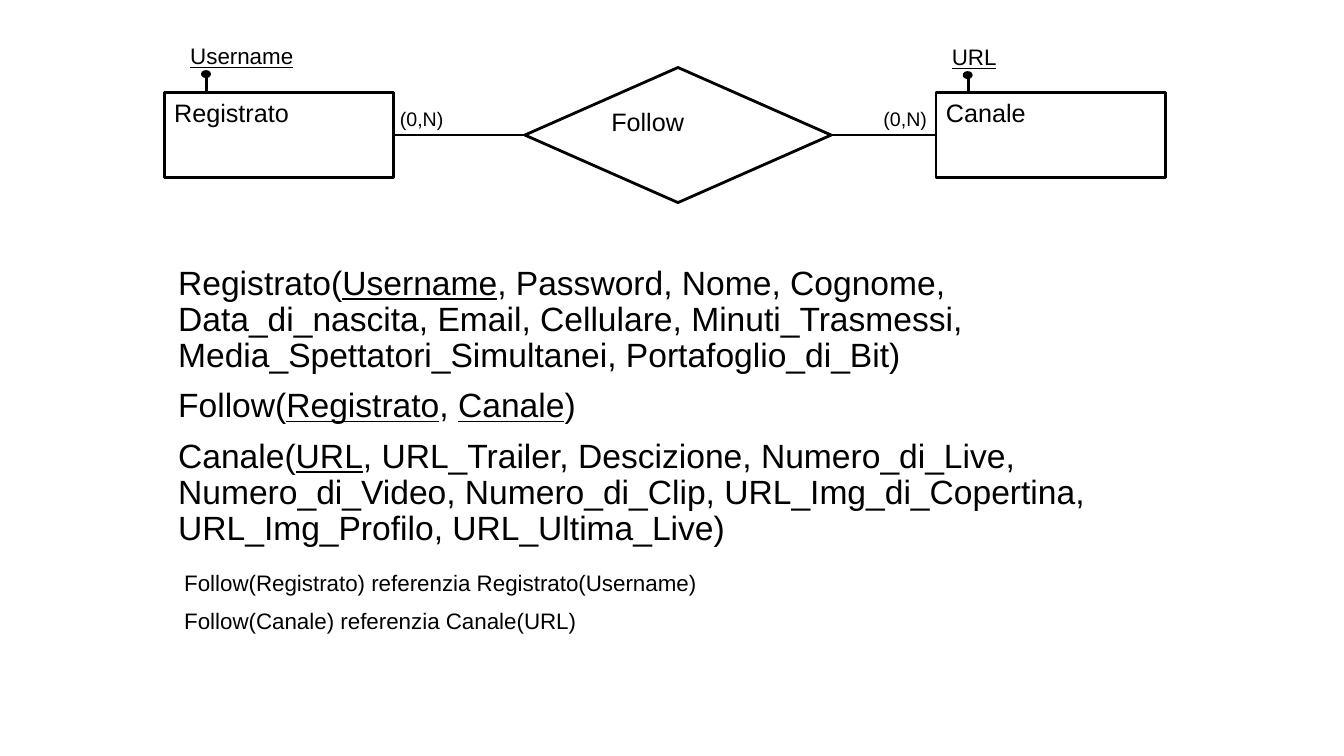
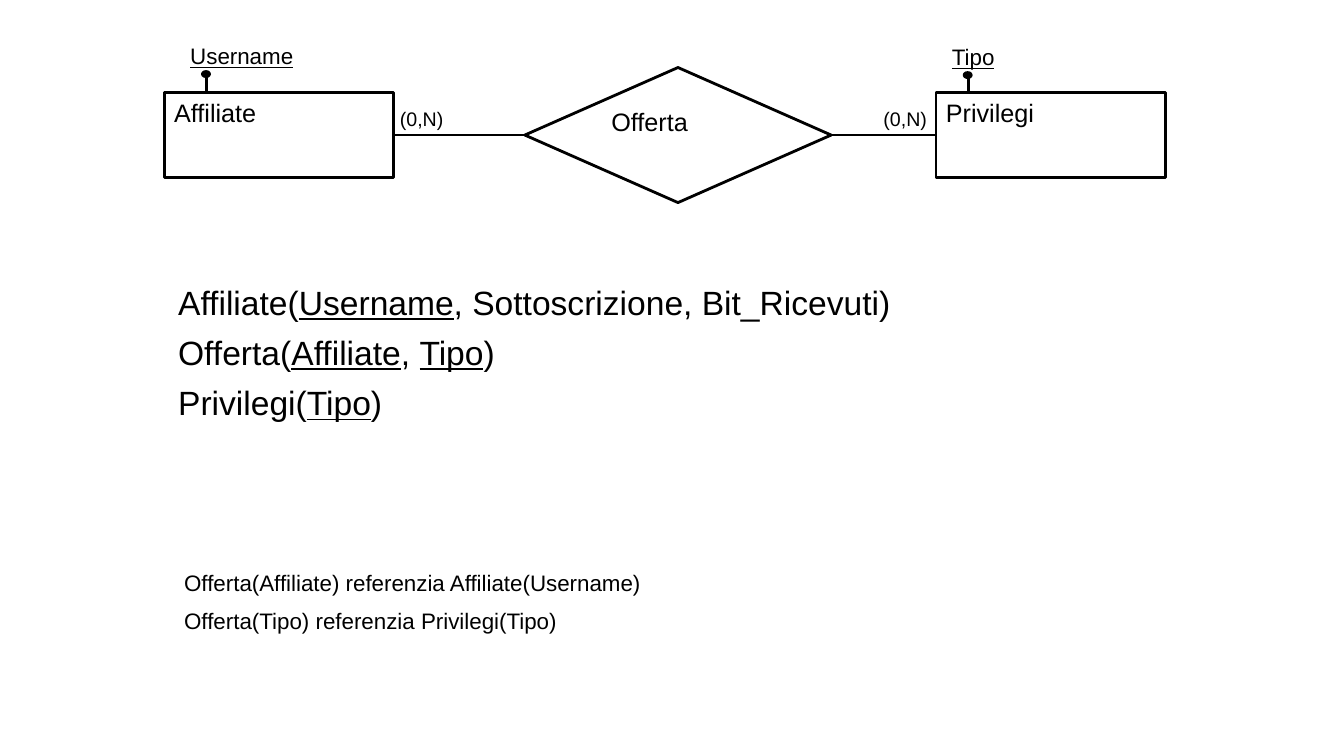
from lxml import etree
from pptx import Presentation
from pptx.dml.color import RGBColor
from pptx.enum.shapes import MSO_CONNECTOR, MSO_SHAPE
from pptx.enum.text import MSO_ANCHOR, MSO_AUTO_SIZE, PP_ALIGN
from pptx.oxml.ns import qn
from pptx.util import Inches, Pt

BOX_TOP, BOX_WIDTH, BOX_HEIGHT = 0.92, 2.28, 0.84
LEFT_BOX, RIGHT_BOX = 1.63, 9.29
RIGHT_SIDE, LEFT_SIDE = 3, 1


def color(hex_value):
    return RGBColor.from_string(hex_value)


class Diagram:
    """Shared style and the slide being drawn."""
    font = "Arial"
    ink = "000000"
    line_width = 2

    def __init__(self, deck):
        self.slide = deck.slides.add_slide(deck.slide_layouts[6])
        self.shapes = self.slide.shapes

    def style_run(self, run, size, underline=False):
        run.font.name = self.font
        run.font.size = Pt(size)
        run.font.color.rgb = color(self.ink)
        if underline:
            run.font.underline = True

    def style_line(self, line):
        line.color.rgb = color(self.ink)
        line.width = Pt(self.line_width)

    def node(self, preset, name, left, top, width, height):
        shape = self.shapes.add_shape(
            preset, Inches(left), Inches(top), Inches(width), Inches(height))
        shape.shadow.inherit = False
        shape.fill.background()
        self.style_line(shape.line)
        frame = shape.text_frame
        frame.text = name
        frame.vertical_anchor = MSO_ANCHOR.TOP
        paragraph = frame.paragraphs[0]
        paragraph.alignment = PP_ALIGN.LEFT
        self.style_run(paragraph.runs[0], 18)
        return shape

    def entity(self, name, left):
        return self.node(MSO_SHAPE.RECTANGLE, name, left, BOX_TOP, BOX_WIDTH, BOX_HEIGHT)

    def relationship(self, name):
        return self.node(MSO_SHAPE.DIAMOND, name, 5.21, 0.67, 3.04, 1.34)

    def connector(self, shapes, start=(0, 0), end=(0, 0)):
        line = shapes.add_connector(
            MSO_CONNECTOR.STRAIGHT, *(Inches(value) for value in (*start, *end)))
        self.style_line(line.line)
        etree.SubElement(line._element.spPr, qn("a:effectLst"))
        return line

    def link(self, source, source_side, target, target_side):
        line = self.connector(self.shapes)
        line.begin_connect(source, source_side)
        line.end_connect(target, target_side)

    def label(self, shapes, text, left, top, width, height, size, underline=False):
        box = shapes.add_textbox(
            Inches(left), Inches(top), Inches(width), Inches(height))
        frame = box.text_frame
        frame.word_wrap = True
        frame.auto_size = MSO_AUTO_SIZE.SHAPE_TO_FIT_TEXT
        frame.text = text
        self.style_run(frame.paragraphs[0].runs[0], size, underline)

    def key_attribute(self, name, stem_x, top):
        """Draw an identifier as an underlined name over a dotted stem."""
        shapes = self.shapes.add_group_shape().shapes
        self.connector(shapes, (stem_x, BOX_TOP), (stem_x, top + 0.39))
        dot = shapes.add_shape(
            MSO_SHAPE.OVAL, Inches(stem_x - 0.04), Inches(top + 0.34),
            Inches(0.07), Inches(0.05))
        dot.shadow.inherit = False
        dot.fill.solid()
        dot.fill.fore_color.rgb = color(self.ink)
        self.style_line(dot.line)
        self.label(shapes, name, stem_x - 0.26, top, 1.67, 0.37, 16, underline=True)

    def text_block(self, lines, left, top, height, size):
        """Write lines, each a list of (text, underlined) pieces."""
        frame = self.shapes.add_textbox(
            Inches(left), Inches(top), Inches(10), Inches(height)).text_frame
        frame.word_wrap = True
        for index, pieces in enumerate(lines):
            paragraph = frame.add_paragraph() if index else frame.paragraphs[0]
            paragraph.line_spacing = 0.9
            paragraph.space_before = Pt(10 if index else 0)
            for text, underlined in pieces:
                run = paragraph.add_run()
                run.text = text
                self.style_run(run, size, underlined)


def schema_pieces(name, keys, attributes=""):
    """Split a relation schema into plain pieces and underlined keys."""
    pieces = [(f"{name}(", False)]
    for index, key in enumerate(keys):
        if index:
            pieces.append((", ", False))
        pieces.append((key, True))
    ending = f", {attributes})" if attributes else ")"
    return pieces + [(ending, False)]


def draw_relationship(deck, schemas, schema_top):
    """Draw entity, relationship and entity with their schemas and references."""
    (first, first_keys, *_), (relation, foreign_keys, *_), (second, second_keys, *_) = schemas
    diagram = Diagram(deck)
    left_entity = diagram.entity(first, LEFT_BOX)
    diamond = diagram.relationship(relation)
    right_entity = diagram.entity(second, RIGHT_BOX)
    diagram.link(left_entity, RIGHT_SIDE, diamond, LEFT_SIDE)
    diagram.link(right_entity, LEFT_SIDE, diamond, RIGHT_SIDE)

    diagram.text_block([schema_pieces(*schema) for schema in schemas],
                       1.67, schema_top, 2.96, 24)
    targets = ((first, first_keys[0]), (second, second_keys[0]))
    references = [
        [(f"{relation}({foreign}) referenzia {entity}({key})", False)]
        for foreign, (entity, key) in zip(foreign_keys, targets)]
    diagram.text_block(references, 1.73, 5.63, 1.18, 16)

    for cardinality_left in (3.87, 8.67):
        diagram.label(diagram.shapes, "(0,N)", cardinality_left, 1.01, 0.81, 0.33, 14)
    diagram.key_attribute(first_keys[0], 2.05, 0.37)
    diagram.key_attribute(second_keys[0], 9.61, 0.38)


FOLLOW = [
    ("Registrato", ["Username"],
     "Password, Nome, Cognome, Data_di_nascita, Email, Cellulare, Minuti_Trasmessi, "
     "Media_Spettatori_Simultanei, Portafoglio_di_Bit"),
    ("Follow", ["Registrato", "Canale"]),
    ("Canale", ["URL"],
     "URL_Trailer, Descizione, Numero_di_Live, Numero_di_Video, Numero_di_Clip, "
     "URL_Img_di_Copertina, URL_Img_Profilo, URL_Ultima_Live"),
]
OFFERTA = [
    ("Affiliate", ["Username"], "Sottoscrizione, Bit_Ricevuti"),
    ("Offerta", ["Affiliate", "Tipo"]),
    ("Privilegi", ["Tipo"]),
]


def main():
    deck = Presentation()
    deck.slide_width, deck.slide_height = Inches(13.34), Inches(7.5)
    draw_relationship(deck, FOLLOW, 2.59)
    draw_relationship(deck, OFFERTA, 2.79)
    deck.save("out.pptx")


if __name__ == "__main__":
    main()
